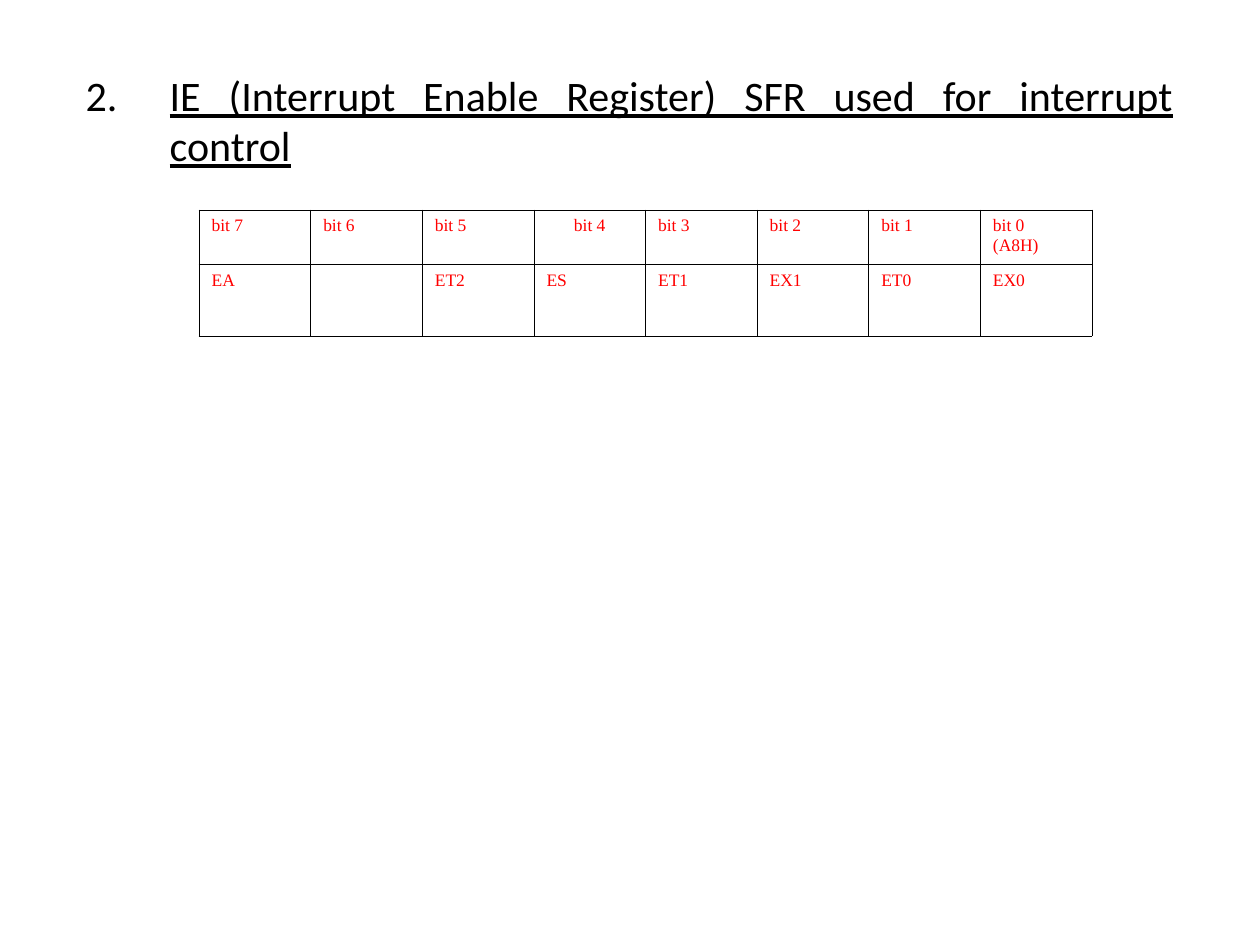
from dataclasses import dataclass

from lxml.etree import SubElement
from pptx import Presentation
from pptx.dml.color import RGBColor
from pptx.enum.text import MSO_ANCHOR as Anchor, MSO_AUTO_SIZE as AutoSize, PP_ALIGN as Align
from pptx.oxml.ns import qn
from pptx.util import Pt


@dataclass(frozen=True)
class Theme:
    ink: str = "000000"
    accent: str = "FF0000"
    title_font: str = "Calibri"
    table_font: str = "Times New Roman"
    title_size: float = 24
    table_size: float = 10
    border: float = 0.45


@dataclass(frozen=True)
class Bit:
    label: str
    flag: str
    align: Align = Align.JUSTIFY


THEME = Theme()
TITLE = "IE (Interrupt Enable Register) SFR used for interrupt control"
BITS = [
    Bit("bit 7", "EA"),
    Bit("bit 6", ""),
    Bit("bit 5", "ET2"),
    Bit("bit 4", "ES", Align.CENTER),
    Bit("bit 3", "ET1"),
    Bit("bit 2", "EX1"),
    Bit("bit 1", "ET0"),
    Bit("bit 0\n(A8H)", "EX0"),
]
TABLE_WIDTH = 510.24
ROW_HEIGHTS = [31, 41]


def write(frame, text: str, *, font: str, size: float, color: str, indent: float,
          align: Align = Align.JUSTIFY, underline: bool = False, before: float = 0) -> None:
    for index, line in enumerate(text.split("\n")):
        para = frame.add_paragraph() if index else frame.paragraphs[0]
        para.alignment = align
        para.space_before = Pt(before)
        properties = para._p.get_or_add_pPr()
        properties.set("marL", str(Pt(indent)))
        properties.set("indent", str(-Pt(indent)))
        span = para.add_run()
        span.text = line
        span.font.name = font
        span.font.size = Pt(size)
        span.font.underline = underline
        span.font.color.rgb = RGBColor.from_string(color)


def number_from(para, start: int, color: str) -> None:
    properties = para._p.get_or_add_pPr()
    SubElement(SubElement(properties, qn("a:buClr")), qn("a:srgbClr"), val=color)
    SubElement(properties, qn("a:buFont"), typeface="+mj-lt")
    SubElement(properties, qn("a:buAutoNum"), type="arabicPeriod", startAt=str(start))


def outline(cell, color: str, width: float) -> None:
    properties = cell._tc.get_or_add_tcPr()
    for side in ("L", "R", "T", "B"):
        line = SubElement(properties, qn(f"a:ln{side}"), w=str(Pt(width)))
        fill = SubElement(line, qn("a:solidFill"))
        SubElement(fill, qn("a:srgbClr"), val=color)


def add_title(page) -> None:
    box = page.shapes.title
    box.left, box.top, box.width, box.height = Pt(41.76), Pt(36), Pt(635.76), Pt(185.76)
    frame = box.text_frame
    frame.word_wrap = True
    frame.auto_size = AutoSize.NONE
    frame.vertical_anchor = Anchor.TOP
    write(frame, TITLE, font=THEME.title_font, size=THEME.title_size, color=THEME.ink,
          indent=48, underline=True, before=10)
    number_from(frame.paragraphs[0], 2, THEME.ink)


def add_register(page, bits: list[Bit]) -> None:
    table = page.shapes.add_table(len(ROW_HEIGHTS), len(bits), Pt(113.76), Pt(120),
                                  Pt(TABLE_WIDTH), Pt(sum(ROW_HEIGHTS))).table
    table.first_row = table.horz_banding = False
    for row, height in zip(table.rows, ROW_HEIGHTS):
        row.height = Pt(height)
    for column, bit in enumerate(bits):
        table.columns[column].width = Pt(TABLE_WIDTH / len(bits))
        entries = [(bit.label, bit.align), (bit.flag, Align.JUSTIFY)]
        for row, (text, align) in enumerate(entries):
            cell = table.cell(row, column)
            outline(cell, THEME.ink, THEME.border)
            cell.fill.background()
            if text:
                write(cell.text_frame, text, font=THEME.table_font, size=THEME.table_size,
                      color=THEME.accent, indent=27, align=align)


def main() -> None:
    deck = Presentation()
    deck.slide_width, deck.slide_height = Pt(720), Pt(540)
    page = deck.slides.add_slide(deck.slide_layouts[5])
    add_title(page)
    add_register(page, BITS)
    deck.save("out.pptx")


if __name__ == "__main__":
    main()
